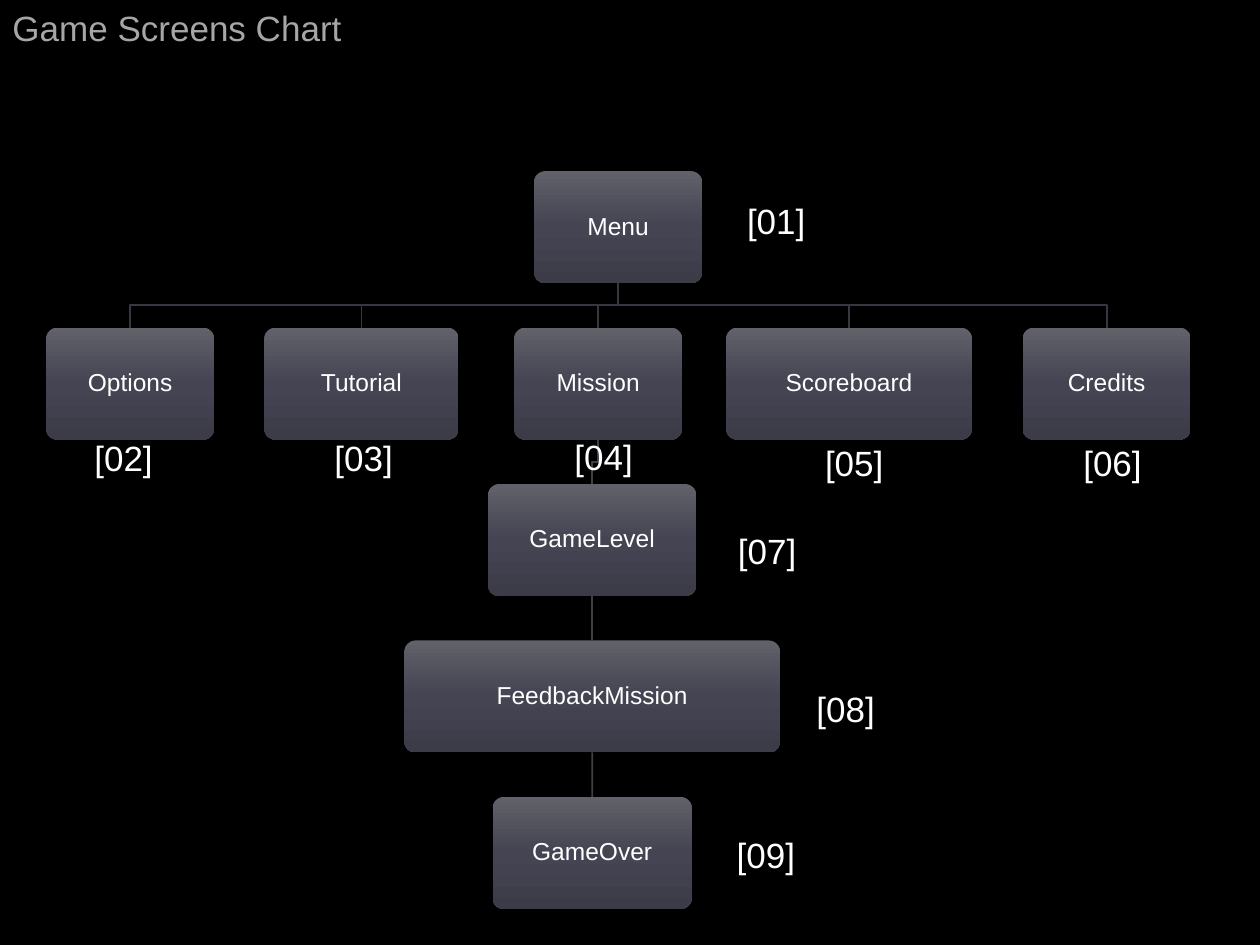
"""Build the game screens chart slide."""
import copy

import lxml.etree
import pptx
import pptx.dml.color
import pptx.enum.shapes
import pptx.enum.text
import pptx.oxml
import pptx.oxml.ns
import pptx.util

Pt = pptx.util.Pt
ALIGN = pptx.enum.text.PP_ALIGN

TITLE = "Game Screens Chart"
# name: (parent, level, center x, width)
SCREENS = {
    "Menu": (None, 0, 353.2, 96),
    "Options": ("Menu", 1, 74.4, 96),
    "Tutorial": ("Menu", 1, 206.6, 111),
    "Mission": ("Menu", 1, 341.8, 96),
    "GameLevel": ("Mission", 2, 338.4, 119),
    "FeedbackMission": ("GameLevel", 3, 338.4, 214.6),
    "GameOver": ("FeedbackMission", 4, 338.4, 113.8),
    "Scoreboard": ("Menu", 1, 485.2, 140.4),
    "Credits": ("Menu", 1, 632.4, 96),
}
# number: (left, top, width)
NUMBERS = {
    "[01]": (404.6, 110.5, 78),
    "[02]": (26, 245.7, 89.3),
    "[03]": (163.2, 245.7, 89.3),
    "[04]": (300.3, 244.9, 89.3),
    "[05]": (443.5, 248.6, 89.3),
    "[06]": (591.1, 248.6, 89.3),
    "[07]": (393.8, 298.8, 89.3),
    "[08]": (438.6, 389, 89.3),
    "[09]": (393, 472.7, 89.3),
}
FIRST_TOP, LEVEL_STEP, SCREEN_HEIGHT = 97.8, 89.4, 64
NUMBER_HEIGHT = 31.5
GRADIENT = [(0, "616169"), (0.5, "444452"), (1, "3C3C49")]
MENU_LINE, MISSION_LINE = "373741", "3F3F4A"
SHADOW = (
    f'<a:effectLst {pptx.oxml.ns.nsdecls("a")}>'
    '<a:outerShdw blurRad="57150" dist="19050" dir="5400000" algn="ctr" rotWithShape="0">'
    '<a:srgbClr val="000000"><a:alpha val="63000"/></a:srgbClr></a:outerShdw></a:effectLst>'
)


def color(value):
    return pptx.dml.color.RGBColor.from_string(value)


def write(frame, text, size, shade, align):
    frame.text = text
    frame.word_wrap = True
    frame.vertical_anchor = pptx.enum.text.MSO_ANCHOR.MIDDLE
    paragraph = frame.paragraphs[0]
    paragraph.alignment = align
    font = paragraph.runs[0].font
    font.name, font.size = "Arial", Pt(size)
    font.color.rgb = color(shade)
    return paragraph


def add_label(slide, text, left, top, width, shade, align):
    label = slide.shapes.add_textbox(Pt(left), Pt(top), Pt(width), Pt(NUMBER_HEIGHT))
    write(label.text_frame, text, 20, shade, align)
    label.text_frame.auto_size = pptx.enum.text.MSO_AUTO_SIZE.SHAPE_TO_FIT_TEXT


def level_top(level):
    return FIRST_TOP + level * LEVEL_STEP


def add_screen(slide, name, level, center, width):
    screen = slide.shapes.add_shape(
        pptx.enum.shapes.MSO_SHAPE.ROUNDED_RECTANGLE,
        Pt(center - width / 2), Pt(level_top(level)), Pt(width), Pt(SCREEN_HEIGHT))
    screen.adjustments[0] = 0.1
    screen.fill.gradient()
    screen.fill.gradient_angle = 270
    stops = screen._element.spPr.find(".//" + pptx.oxml.ns.qn("a:gsLst"))
    stops.append(copy.deepcopy(stops[0]))
    for stop, (position, shade) in zip(screen.fill.gradient_stops, GRADIENT):
        stop.position = position
        stop.color.rgb = color(shade)
    screen.line.fill.background()
    screen._element.spPr.append(pptx.oxml.parse_xml(SHADOW))
    frame = screen.text_frame
    paragraph = write(frame, name, 14, "FFFFFF", ALIGN.CENTER)
    paragraph.line_spacing = 0.9
    frame.margin_left = frame.margin_right = Pt(4.2)
    frame.margin_top = frame.margin_bottom = Pt(4.2)
    return screen


def add_branch(slide, start, end, level):
    top, bottom = level_top(level - 1) + SCREEN_HEIGHT, level_top(level)
    middle = (top + bottom) / 2
    builder = slide.shapes.build_freeform(Pt(start), Pt(top))
    corners = [(start, middle), (end, middle), (end, bottom)]
    builder.add_line_segments([(Pt(x), Pt(y)) for x, y in corners], close=False)
    branch = builder.convert_to_shape()
    branch.fill.background()
    branch.shadow.inherit = False
    return branch


def add_link(slide, parent, child):
    link = slide.shapes.add_connector(pptx.enum.shapes.MSO_CONNECTOR.STRAIGHT, 0, 0, 0, 0)
    link.begin_connect(parent, 2)
    link.end_connect(child, 0)
    lxml.etree.SubElement(link._element.spPr, pptx.oxml.ns.qn("a:effectLst"))
    return link


def main():
    deck = pptx.Presentation()
    deck.slide_width, deck.slide_height = Pt(720), Pt(540)
    slide = deck.slides.add_slide(deck.slide_layouts[6])
    slide.background.fill.solid()
    slide.background.fill.fore_color.rgb = color("000000")

    screens = {}
    for name, (parent, level, center, width) in SCREENS.items():
        screens[name] = add_screen(slide, name, level, center, width)
        if parent is None:
            continue
        parent_center = SCREENS[parent][2]
        if parent_center == center:
            line = add_link(slide, screens[parent], screens[name])
        else:
            line = add_branch(slide, parent_center, center, level)
        line.line.color.rgb = color(MENU_LINE if parent == "Menu" else MISSION_LINE)
        line.line.width = Pt(1)

    add_label(slide, TITLE, 0, 0, 306, "A6A6A6", ALIGN.LEFT)
    for number, (left, top, width) in NUMBERS.items():
        add_label(slide, number, left, top, width, "FFFFFF", ALIGN.CENTER)
    deck.save("out.pptx")


if __name__ == "__main__":
    main()
